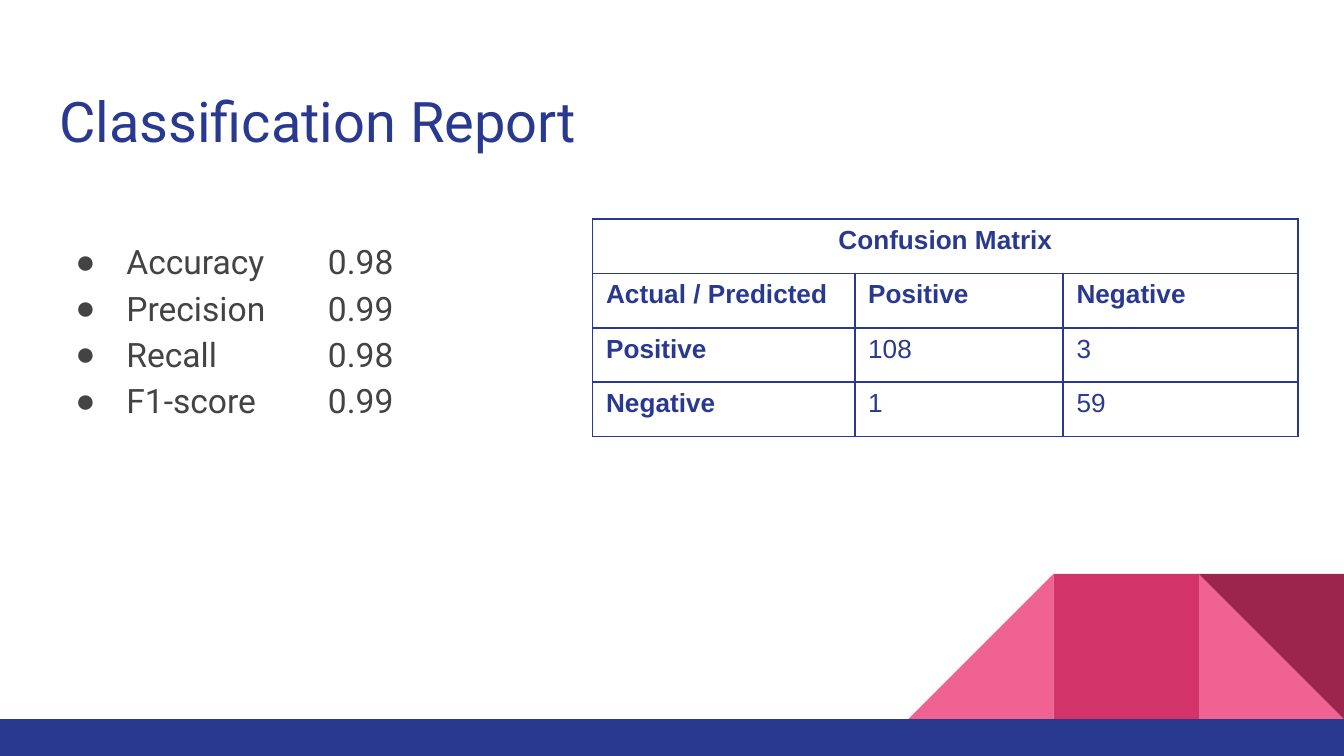
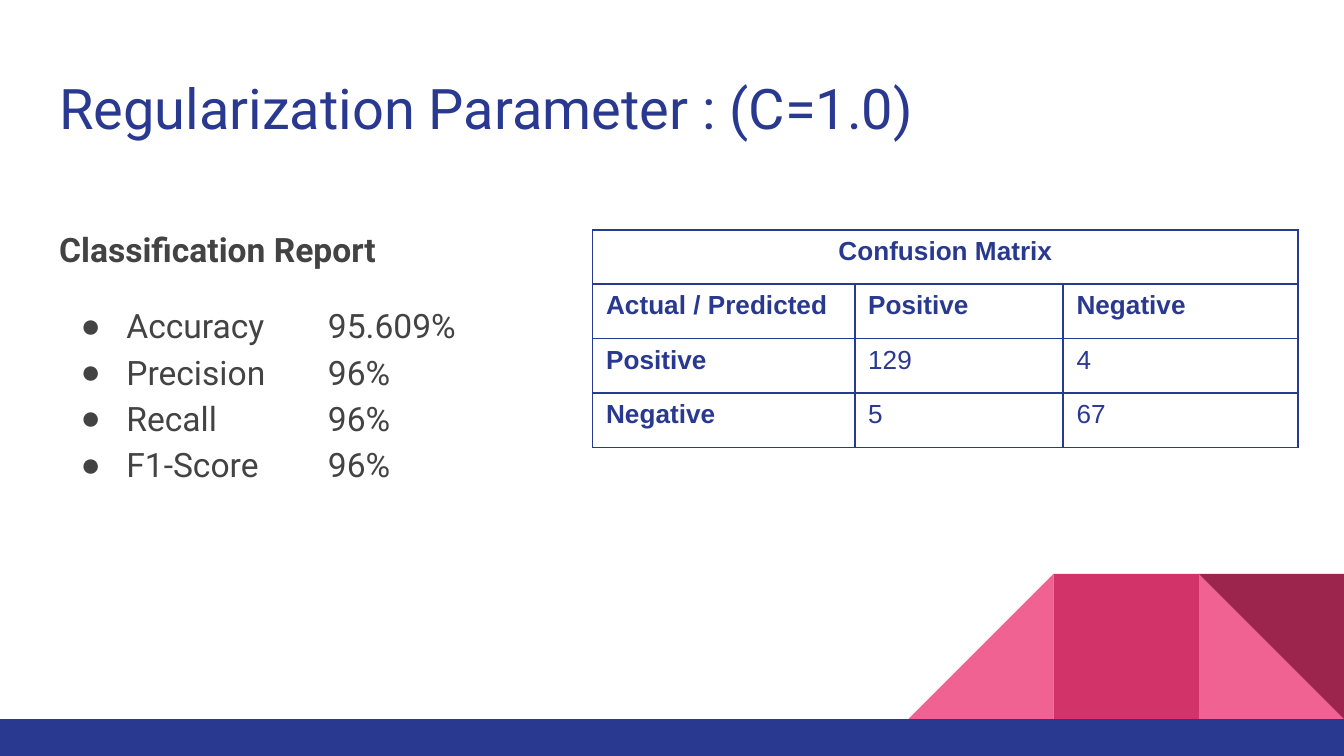
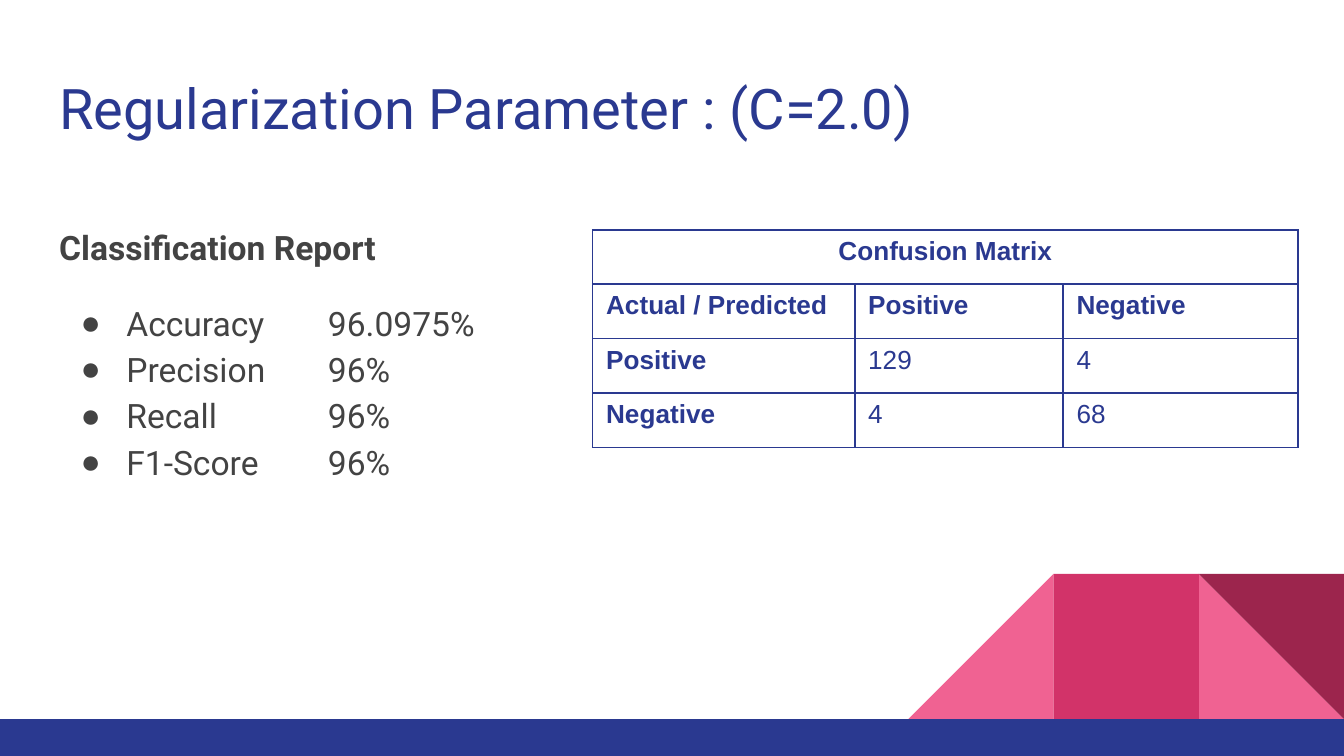
from pptx import Presentation
from pptx import util as u
from pptx.dml.color import RGBColor
from pptx.enum import shapes, text
from pptx.oxml import ns

COLORS = {
    "navy": "2A3990",
    "grey": "434343",
    "pink": "F06292",
    "rose": "D23369",
    "wine": "9C254D",
}
FONT, TABLE_FONT = "Roboto", "Arial"
LEFT, WIDTH = 0.34, 9.32
BAND_TOP, BLOCK = 5.35, 1.08
COLUMN_WIDTHS = (1.95, 1.55, 1.75)
TABLE_HEIGHT = 1.62


class Deck:
    """Hold the shared style and the current slide."""

    def __init__(self):
        self.prs = Presentation()
        self.prs.slide_width = u.Inches(10)
        self.prs.slide_height = u.Inches(10 * 9 / 16)
        self.s = None

    def add_slide(self):
        self.s = self.prs.slides.add_slide(self.prs.slide_layouts[1])

    def add_run(self, p, value, size, color, font=FONT, bold=False):
        r = p.add_run()
        r.text = value
        r.font.size, r.font.name, r.font.bold = u.Pt(size), font, bold
        r.font.color.rgb = RGBColor.from_string(COLORS[color])

    def add_master_shape(self, kind, box, color, rotation=0, flip=False):
        sp = self.s.shapes.add_shape(kind, *map(u.Inches, box))
        sp.shadow.inherit = False
        sp.fill.solid()
        sp.fill.fore_color.rgb = RGBColor.from_string(COLORS[color])
        sp.line.fill.background()
        sp.rotation = rotation
        if flip:
            sp.element.spPr.find(ns.qn("a:xfrm")).set("flipH", "1")
        tree = self.prs.slide_master.shapes.element
        sp.element.nvSpPr.cNvPr.set("id", str(100 + len(tree)))
        tree.append(sp.element)

    def add_master_art(self):
        triangle, rect = shapes.MSO_SHAPE.RIGHT_TRIANGLE, shapes.MSO_SHAPE.RECTANGLE
        right, middle, left = (10 - n * BLOCK for n in (1, 2, 3))
        top = BAND_TOP - BLOCK
        self.add_master_shape(triangle, (right, top, BLOCK, BLOCK), "pink")
        self.add_master_shape(triangle, (left, top, BLOCK, BLOCK), "pink", flip=True)
        self.add_master_shape(rect, (middle, top, BLOCK, BLOCK), "rose")
        self.add_master_shape(triangle, (right, top, BLOCK, BLOCK), "wine", rotation=180)
        self.add_master_shape(rect, (0, BAND_TOP, 10, 0.28), "navy")

    def place(self, sp, top, height, inset_top):
        sp.left, sp.top = u.Inches(LEFT), u.Inches(top)
        sp.width, sp.height = u.Inches(WIDTH), u.Inches(height)
        tf = sp.text_frame
        tf.word_wrap, tf.auto_size = True, text.MSO_AUTO_SIZE.NONE
        tf.vertical_anchor = text.MSO_ANCHOR.TOP
        tf.margin_left = tf.margin_right = tf.margin_bottom = u.Inches(0.1)
        tf.margin_top = u.Inches(inset_top)
        return tf

    def add_title(self, value, top):
        p = self.place(self.s.shapes.title, top, 0.66, 0.1).paragraphs[0]
        p.alignment = text.PP_ALIGN.LEFT
        self.add_run(p, value, 30, "navy")

    def format_item(self, p, indent):
        pPr = p._p.get_or_add_pPr()
        pPr.set("marL", str(u.Inches(0.5)))
        pPr.set("indent", str(-u.Inches(indent)))
        color = pPr.makeelement(ns.qn("a:buClr"))
        color.append(color.makeelement(ns.qn("a:srgbClr"), {"val": COLORS["grey"]}))
        pPr.append(color)
        pPr.append(pPr.makeelement(ns.qn("a:buChar"), {"char": "●"}))
        tabs = pPr.makeelement(ns.qn("a:tabLst"))
        tabs.append(tabs.makeelement(ns.qn("a:tab"), {"pos": str(u.Inches(2)), "algn": "l"}))
        pPr.append(tabs)

    def add_scores(self, scores, top, indent, heading=None):
        tf = self.place(self.s.placeholders[1], top, 3.65, 0.4)
        lines = [(heading, True)] if heading else []
        lines += [(f"{name}\t{value}", False) for name, value in scores]
        for i, (line, is_heading) in enumerate(lines):
            p = tf.paragraphs[0] if i == 0 else tf.add_paragraph()
            p.line_spacing = 1.15
            p.space_before = u.Pt(16 if heading and i == 1 else 0)
            if is_heading:
                pPr = p._p.get_or_add_pPr()
                pPr.set("marL", "0")
                pPr.set("indent", "0")
                pPr.append(pPr.makeelement(ns.qn("a:buNone")))
            else:
                self.format_item(p, indent)
            self.add_run(p, line, 18, "grey", bold=is_heading)

    def add_borders(self, cell):
        tcPr = cell._tc.get_or_add_tcPr()
        for i, side in enumerate(("lnL", "lnR", "lnT", "lnB")):
            ln = tcPr.makeelement(ns.qn(f"a:{side}"), {"w": str(u.Pt(1))})
            fill = ln.makeelement(ns.qn("a:solidFill"))
            fill.append(fill.makeelement(ns.qn("a:srgbClr"), {"val": COLORS["navy"]}))
            ln.append(fill)
            tcPr.insert(i, ln)

    def add_confusion_matrix(self, counts, top):
        rows = [
            ("Confusion Matrix", "", ""),
            ("Actual / Predicted", "Positive", "Negative"),
            ("Positive", *counts[0]),
            ("Negative", *counts[1]),
        ]
        frame = self.s.shapes.add_table(
            len(rows), len(COLUMN_WIDTHS), u.Inches(4.41), u.Inches(top),
            u.Inches(sum(COLUMN_WIDTHS)), u.Inches(TABLE_HEIGHT))
        table = frame.table
        table.first_row = table.horz_banding = False
        for column, width in zip(table.columns, COLUMN_WIDTHS):
            column.width = u.Inches(width)
        for i, row in enumerate(rows):
            for j, value in enumerate(row):
                cell = table.cell(i, j)
                cell.fill.background()
                self.add_borders(cell)
                if value:
                    p = cell.text_frame.paragraphs[0]
                    p.alignment = text.PP_ALIGN.LEFT if i else text.PP_ALIGN.CENTER
                    self.add_run(p, str(value), 14, "navy", TABLE_FONT, i < 2 or j == 0)
        table.cell(0, 0).merge(table.cell(0, 2))


def main():
    deck = Deck()
    deck.add_slide()
    deck.add_master_art()
    deck.add_title("Classification Report", 0.54)
    scores = [("Accuracy", "0.98"), ("Precision", "0.99"), ("Recall", "0.98"), ("F1-score", "0.99")]
    deck.add_scores(scores, 1.35, 0.38)
    deck.add_confusion_matrix([(108, 3), (1, 59)], 1.63)

    experiments = [
        ("1.0", "95.609%", 1.26, [(129, 4), (5, 67)]),
        ("2.0", "96.0975%", 1.24, [(129, 4), (4, 68)]),
    ]
    for c, accuracy, body_top, counts in experiments:
        deck.add_slide()
        deck.add_title(f"Regularization Parameter : (C={c})", 0.45)
        scores = [("Accuracy", accuracy)]
        scores += [(name, "96%") for name in ("Precision", "Recall", "F1-Score")]
        deck.add_scores(scores, body_top, 0.34, "Classification Report")
        deck.add_confusion_matrix(counts, 1.71)
    deck.prs.save("out.pptx")


if __name__ == "__main__":
    main()
